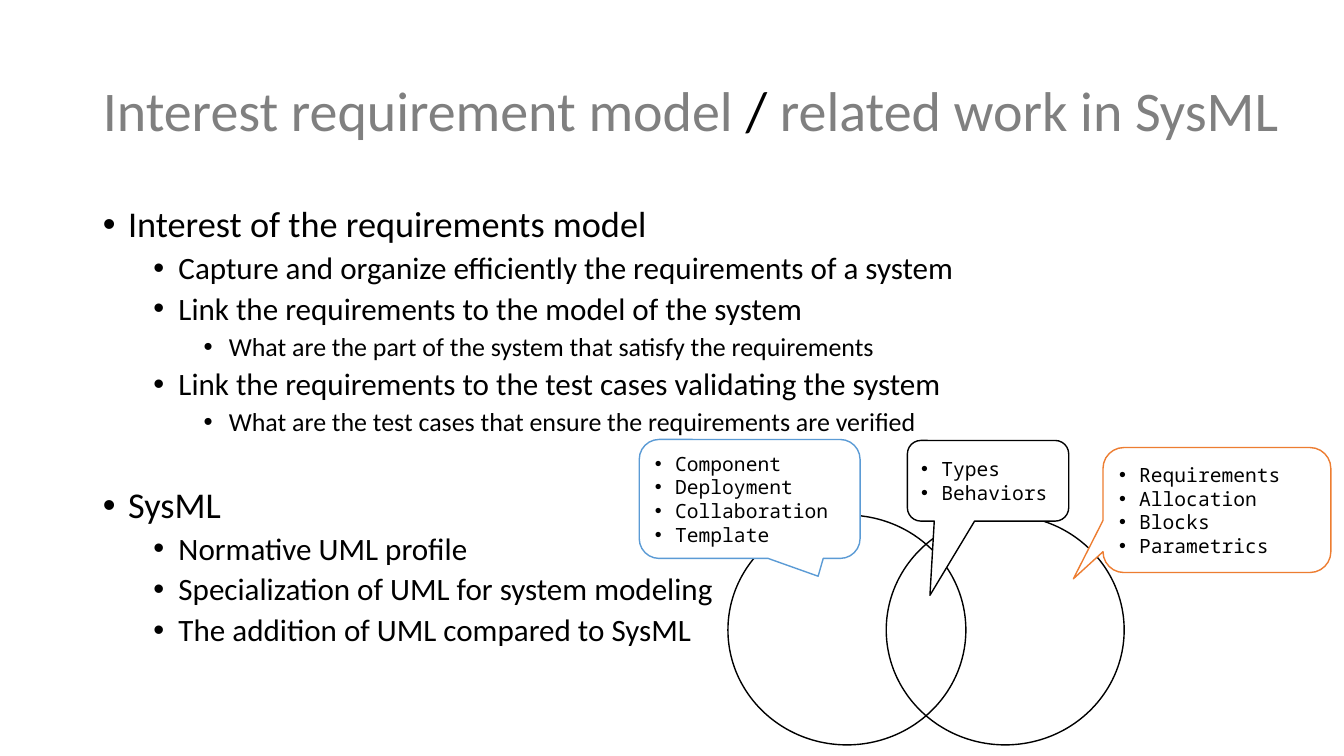
"""Build a slide on the interest of requirement models and their relation to SysML."""
from lxml.etree import SubElement
from pptx import Presentation
from pptx.dml.color import RGBColor
from pptx.enum.shapes import MSO_SHAPE
from pptx.enum.text import MSO_ANCHOR, MSO_AUTO_SIZE, PP_ALIGN
from pptx.oxml.ns import qn
from pptx.util import Inches, Pt

COLORS = {"black": "000000", "gray": "808080", "white": "FFFFFF",
          "blue": "5B9BD5", "orange": "ED7D31"}
TITLE = [("Interest requirement model ", "gray"), ("/", "black"),
         (" related work in SysML", "gray")]
OUTLINE = [
    (0, "Interest of the requirements model"),
    (1, "Capture and organize efficiently the requirements of a system"),
    (1, "Link the requirements to the model of the system"),
    (2, "What are the part of the system that satisfy the requirements"),
    (1, "Link the requirements to the test cases validating the system"),
    (2, "What are the test cases that ensure the requirements are verified"),
    (0, "SysML"),
    (1, "Normative UML profile"),
    (1, "Specialization of UML for system modeling"),
    (1, "The addition of UML compared to SysML"),
]
CALLOUTS = [
    (["Component", "Deployment", "Collaboration", "Template"],
     (6.34, 4.36, 2.19, 1.18), (0.31, 0.65), "blue"),
    (["Types", "Behaviors"],
     (9, 4.37, 1.6, 0.8), (-0.36, 1.42), "black"),
    (["Requirements", "Allocation", "Blocks", "Parametrics"],
     (10.94, 4.44, 2.26, 1.24), (-0.63, 0.55), "orange"),
]
LEVEL_SIZES = (25.9, 22.2, 18.5)
SECTION_GAP, ITEM_GAP = 35.5, 5
CIRCLE_LEFT, CIRCLE_TOP, CIRCLE_STEP = 7.22, 5.11, 1.57
CIRCLE_WIDTH, CIRCLE_HEIGHT = 2.36, 2.28


def color(name):
    return RGBColor.from_string(COLORS[name])


def place(shape, left, top, width, height):
    shape.left, shape.top = Inches(left), Inches(top)
    shape.width, shape.height = Inches(width), Inches(height)


def style(span, font, size, tint):
    span.font.name, span.font.size = font, Pt(size)
    span.font.color.rgb = color(tint)


def add_bullet(para, indent, hanging):
    properties = para._p.get_or_add_pPr()
    properties.set("marL", str(Inches(indent)))
    properties.set("indent", str(-Inches(hanging)))
    SubElement(properties, qn("a:buFont"), typeface="Arial")
    SubElement(properties, qn("a:buChar"), char="•")


def outline_shape(page, kind, bounds, tint):
    shape = page.shapes.add_shape(kind, *map(Inches, bounds))
    shape.shadow.inherit = False
    shape.line.color.rgb = color(tint)
    shape.line.width = Pt(1)
    return shape


def add_title(page):
    title = page.shapes.title
    place(title, 0.92, 0.4, 12.1, 1.45)
    frame = title.text_frame
    frame.auto_size = MSO_AUTO_SIZE.NONE
    frame.vertical_anchor = MSO_ANCHOR.MIDDLE
    para = frame.paragraphs[0]
    para.alignment, para.line_spacing = PP_ALIGN.LEFT, 0.9
    for words, tint in TITLE:
        span = para.add_run()
        span.text = words
        style(span, "Calibri", 40, tint)


def add_outline(page):
    body = page.placeholders[1]
    place(body, 0.92, 2, 11.5, 4.76)
    frame = body.text_frame
    frame.text = "\n".join(words for _, words in OUTLINE)
    frame.auto_size = MSO_AUTO_SIZE.NONE
    for number, (para, (level, _)) in enumerate(zip(frame.paragraphs, OUTLINE)):
        gap = ITEM_GAP if level else SECTION_GAP
        para.level, para.line_spacing = level, 0.9
        para.space_before = Pt(gap if number else 0)
        add_bullet(para, 0.25 + 0.5 * level, 0.25)
        style(para.runs[0], "Calibri", LEVEL_SIZES[level], "black")


def add_circles(page):
    for column in range(2):
        left = CIRCLE_LEFT + column * CIRCLE_STEP
        bounds = (left, CIRCLE_TOP, CIRCLE_WIDTH, CIRCLE_HEIGHT)
        outline_shape(page, MSO_SHAPE.OVAL, bounds, "black").fill.background()


def add_callout(page, items, bounds, pointer, tint):
    box = outline_shape(page, MSO_SHAPE.ROUNDED_RECTANGULAR_CALLOUT, bounds, tint)
    box.adjustments[0], box.adjustments[1] = pointer
    box.fill.solid()
    box.fill.fore_color.rgb = color("white")
    frame = box.text_frame
    frame.word_wrap = True
    frame.vertical_anchor = MSO_ANCHOR.MIDDLE
    frame.text = "\n".join(items)
    for para in frame.paragraphs:
        para.alignment = PP_ALIGN.LEFT
        add_bullet(para, 0.2, 0.2)
        style(para.runs[0], "Noto Sans Mono", 14, "black")


def main():
    deck = Presentation()
    deck.slide_width, deck.slide_height = Inches(13.33), Inches(7.5)
    page = deck.slides.add_slide(deck.slide_layouts[1])
    add_title(page)
    add_outline(page)
    add_circles(page)
    for callout in CALLOUTS:
        add_callout(page, *callout)
    deck.save("out.pptx")


if __name__ == "__main__":
    main()
